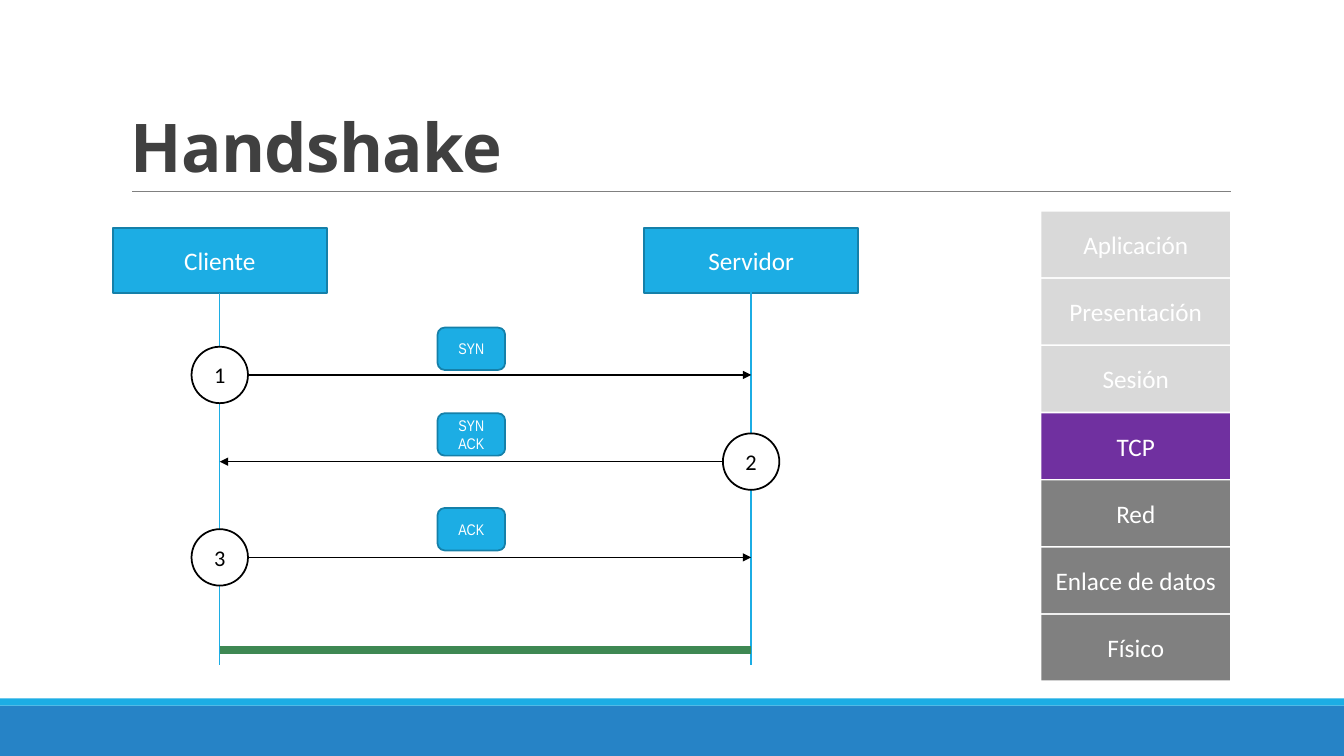
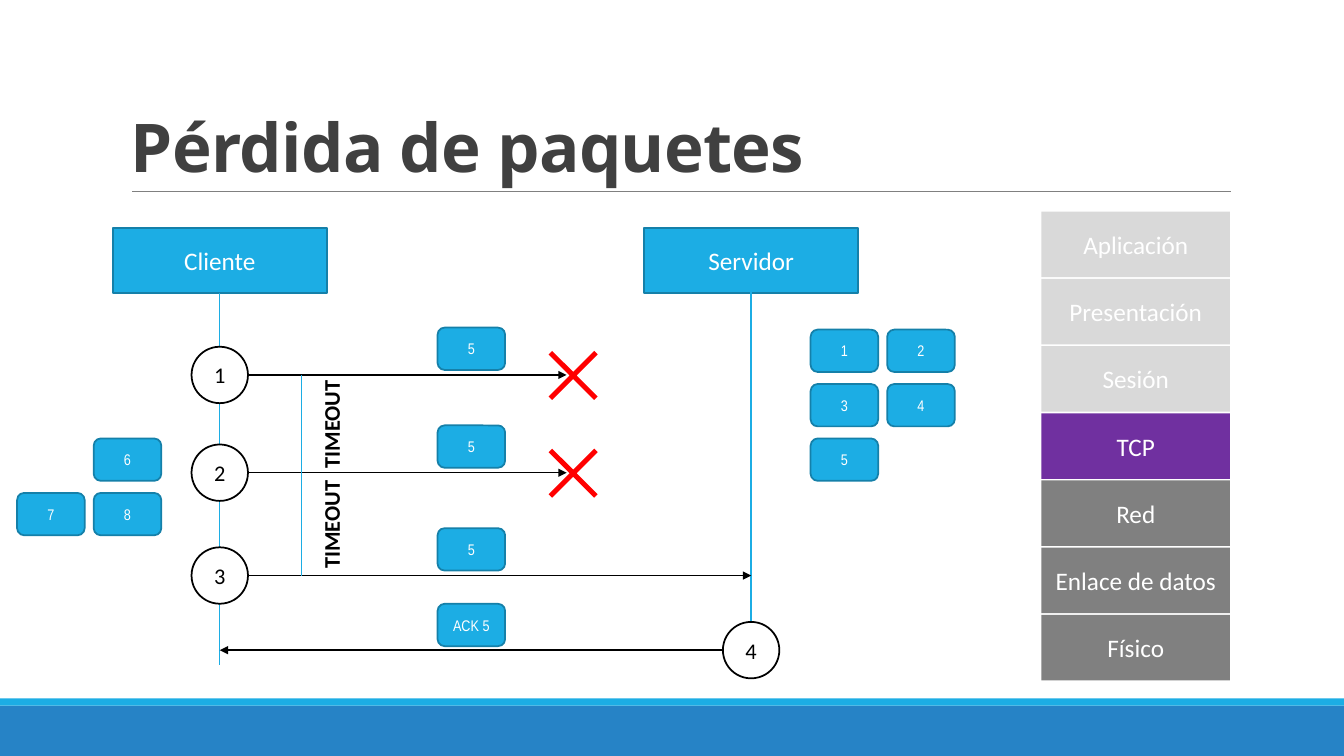
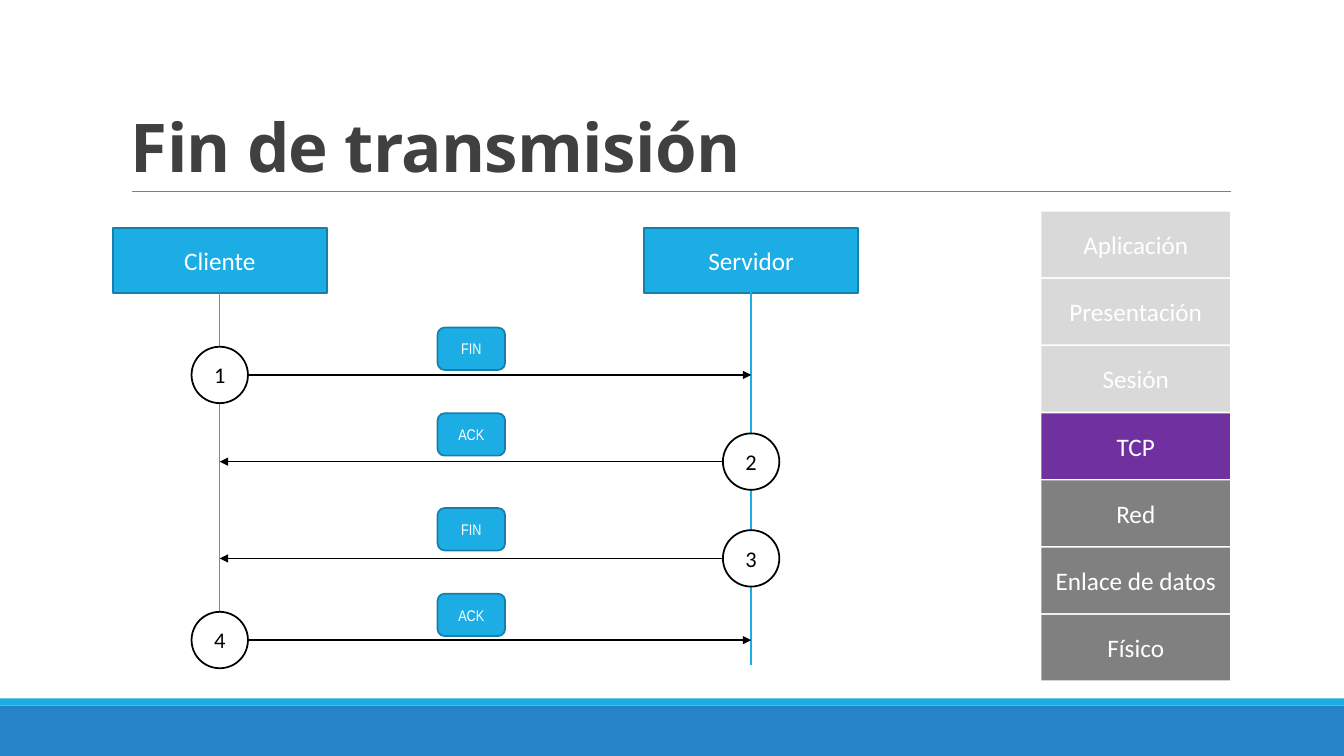
"""Build three slides on TCP: handshake, packet loss and end of transmission."""
from lxml import etree
from pptx import Presentation
from pptx.dml.color import RGBColor
from pptx.enum import shapes, text
from pptx.oxml import ns
from pptx.util import Inches, Pt

WHITE = RGBColor(0xFF, 0xFF, 0xFF)
BLACK = RGBColor(0, 0, 0)
SKY = RGBColor(0x1C, 0xAD, 0xE4)
SKY_EDGE = RGBColor(0x15, 0x80, 0xA9)
BLUE = RGBColor(0x26, 0x83, 0xC6)
GREY = RGBColor(0x80, 0x80, 0x80)
PALE = RGBColor(0xD9, 0xD9, 0xD9)
PURPLE = RGBColor(0x70, 0x30, 0xA0)
INK = RGBColor(0x40, 0x40, 0x40)
GREEN = RGBColor(0x3E, 0x88, 0x53)
RED = RGBColor(0xFF, 0, 0)

LAYERS = [("Aplicación", PALE), ("Presentación", PALE), ("Sesión", PALE),
          ("TCP", PURPLE), ("Red", GREY), ("Enlace de datos", GREY), ("Físico", GREY)]
CLIENT, SERVER, LOST = 2.18, 7.45, 5.62
HOSTS = [("Cliente", CLIENT, 2.91), ("Servidor", SERVER, 2.77)]

# Each message: sender, end of arrow, arrow height, packet label, packet top
HANDSHAKE = [(CLIENT, SERVER, 3.72, "SYN", 3.25),
             (SERVER, CLIENT, 4.58, "SYN ACK", 4.1),
             (CLIENT, SERVER, 5.53, "ACK", 5.04)]
LOSS = [(CLIENT, LOST, 3.72, "5", 3.25),
        (CLIENT, LOST, 4.69, "5", 4.22),
        (CLIENT, SERVER, 5.71, "5", 5.24),
        (SERVER, CLIENT, 6.45, "ACK 5", 5.99)]
FINISH = [(CLIENT, SERVER, 3.72, "FIN", 3.25),
          (SERVER, CLIENT, 4.58, "ACK", 4.1),
          (SERVER, CLIENT, 5.54, "FIN", 5.04),
          (CLIENT, SERVER, 6.35, "ACK", 5.89)]
PENDING = [[None, "6"], ["7", "8"]]
RECEIVED = [["1", "2"], ["3", "4"], ["5"]]
RADIUS = 0.28

SHAPE = shapes.MSO_SHAPE
prs = Presentation()
prs.slide_width, prs.slide_height = Inches(13.33), Inches(7.5)


def write(sp, words, size, color, font="Calibri", bold=False):
    tf = sp.text_frame
    tf.word_wrap = True
    p = tf.paragraphs[0]
    r = p.add_run()
    r.text = words
    r.font.name, r.font.size, r.font.bold = font, Pt(size), bold
    r.font.color.rgb = color
    return p, r


def add_box(s, kind, left, top, width, height, fill, edge=None):
    sp = s.shapes.add_shape(kind, Inches(left), Inches(top), Inches(width), Inches(height))
    sp.shadow.inherit = False
    sp.fill.solid()
    sp.fill.fore_color.rgb = fill
    if edge is None:
        sp.line.fill.background()
    else:
        sp.line.color.rgb, sp.line.width = edge, Pt(1.25)
    return sp


def add_label(s, kind, left, top, width, height, fill, edge, words, size, color=WHITE,
              font="Calibri"):
    sp = add_box(s, kind, left, top, width, height, fill, edge)
    sp.text_frame.vertical_anchor = text.MSO_ANCHOR.MIDDLE
    p, _ = write(sp, words, size, color, font)
    p.alignment = text.PP_ALIGN.CENTER


def add_line(s, x1, y1, x2, y2, color, width=1, arrow=False):
    c = s.shapes.add_connector(shapes.MSO_CONNECTOR.STRAIGHT,
                               Inches(x1), Inches(y1), Inches(x2), Inches(y2))
    c.line.color.rgb, c.line.width = color, Pt(width)
    if arrow:
        etree.SubElement(c.line._get_or_add_ln(), ns.qn("a:tailEnd"), type="triangle")
    etree.SubElement(c._element.spPr, ns.qn("a:effectLst"))


def add_packet(s, left, top, words):
    add_label(s, SHAPE.ROUNDED_RECTANGLE, left, top, 0.67, 0.42, SKY, SKY_EDGE,
              words, 11, font="Arial Narrow")


def add_packets(s, left, top, rows):
    for i, row in enumerate(rows):
        for j, words in enumerate(row):
            if words:
                add_packet(s, left + 0.76 * j, top + 0.54 * i, words)


def add_timeout(s, start, end):
    x = 2.99
    add_line(s, x, start, x, end, SKY)
    tb = s.shapes.add_textbox(Inches(2.66), Inches((start + end) / 2 - 0.27),
                              Inches(1.25), Inches(0.37))
    tb.rotation = 270
    write(tb, "TIMEOUT", 16, BLACK, bold=True)


def add_slide(title, messages):
    s = prs.slides.add_slide(prs.slide_layouts[6])
    add_box(s, SHAPE.RECTANGLE, 0, 7, 13.33, 0.5, BLUE)
    add_box(s, SHAPE.RECTANGLE, 0, 6.93, 13.33, 0.07, SKY)
    add_line(s, 1.31, 1.9, 12.21, 1.9, GREY, 0.5)

    tb = s.shapes.add_textbox(Inches(1.2), Inches(0.31), Inches(11), Inches(1.59))
    tb.text_frame.vertical_anchor = text.MSO_ANCHOR.BOTTOM
    p, r = write(tb, title, 48, INK, "Open Sans", True)
    p.line_spacing = 0.85
    r.font._element.set("spc", "-50")

    for i, (name, fill) in enumerate(LAYERS):
        add_label(s, SHAPE.RECTANGLE, 10.33, 2.1 + i * 4 / 6, 1.87, 0.65, fill, None, name, 18)
    for name, x, _ in HOSTS:
        add_label(s, SHAPE.RECTANGLE, x - 1.06, 2.26, 2.12, 0.65, SKY, SKY_EDGE, name, 18)
    for _, x, top in HOSTS:
        add_line(s, x, top, x, 6.6, SKY)

    for number, (start, end, y, words, packet_top) in enumerate(messages, 1):
        add_label(s, SHAPE.OVAL, start - RADIUS, y - RADIUS, 2 * RADIUS, 2 * RADIUS,
                  WHITE, BLACK, str(number), 16, BLACK)
        edge = start + RADIUS if end > start else start - RADIUS
        add_line(s, edge, y, end, y, BLACK, arrow=True)
        add_packet(s, 4.34, packet_top, words)
        if end == LOST:
            cross = add_box(s, SHAPE.MATH_MULTIPLY, 5.25, y - 0.43, 0.87, 0.87, RED)
            cross.adjustments[0] = 0.057
    return s


handshake = add_slide("Handshake", HANDSHAKE)
add_line(handshake, CLIENT, 6.45, SERVER, 6.45, GREEN, 6)

loss = add_slide("Pérdida de paquetes", LOSS)
add_packets(loss, 0.17, 4.35, PENDING)
add_packets(loss, 8.04, 3.27, RECEIVED)
sent = [y for start, _, y, _, _ in LOSS if start == CLIENT]
for before, after in zip(sent, sent[1:]):
    add_timeout(loss, before, after)

add_slide("Fin de transmisión", FINISH)
prs.save("out.pptx")
